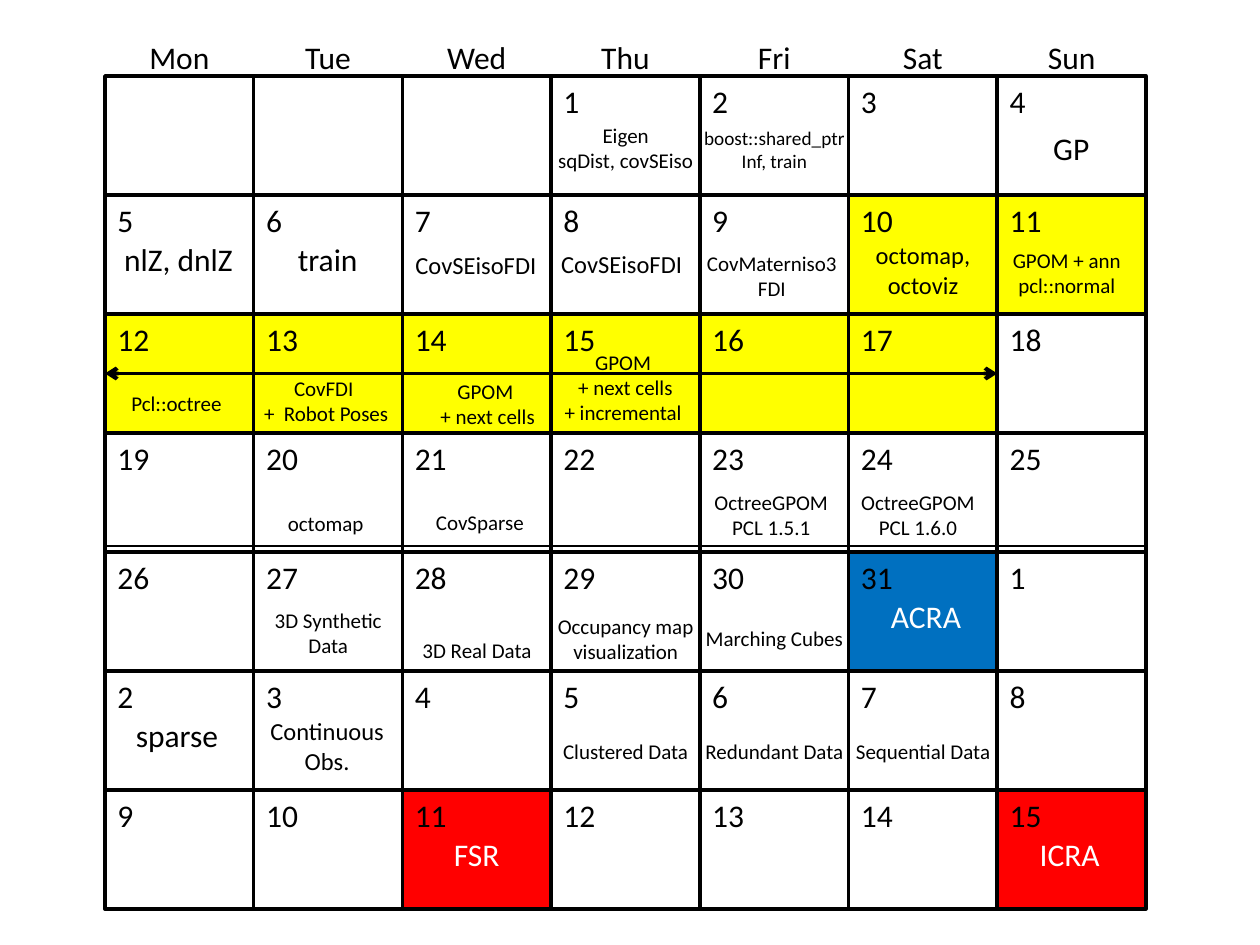
from lxml import etree
from pptx import Presentation
from pptx.dml.color import RGBColor
from pptx.enum.shapes import MSO_CONNECTOR, MSO_SHAPE
from pptx.enum.text import MSO_ANCHOR, MSO_AUTO_SIZE, PP_ALIGN
from pptx.oxml.ns import qn
from pptx.util import Emu, Pt

LEFT, CENTER = PP_ALIGN.LEFT, PP_ALIGN.CENTER
TOP, MIDDLE = MSO_ANCHOR.TOP, MSO_ANCHOR.MIDDLE
RECTANGLE, STRAIGHT = MSO_SHAPE.RECTANGLE, MSO_CONNECTOR.STRAIGHT
FIT_SHAPE = MSO_AUTO_SIZE.SHAPE_TO_FIT_TEXT

EMU_PER_PX = 914400 / 126
FONT = "Calibri"
BLACK, WHITE = "000000", "FFFFFF"
YELLOW, BLUE, RED = "FFFF00", "0070C0", "FF0000"

GRID = (105, 76, 1041, 833)
HEADER_HEIGHT = 39
WEEKS = 7
WEEKDAYS = ["Mon", "Tue", "Wed", "Thu", "Fri", "Sat", "Sun"]
MON, TUE, WED, THU, FRI, SAT, SUN = range(7)
DATES = [""] * THU + [str(d) for d in range(1, 32)] + [str(d) for d in range(1, 16)]

# Filled days, by (week, weekday)
FILLS = {(1, SAT): YELLOW, (1, SUN): YELLOW, (4, SAT): BLUE, (6, WED): RED, (6, SUN): RED}
FILLS.update({(2, weekday): YELLOW for weekday in range(SUN)})

# Notes: week, weekday, box within the day, text size, lines
WIDE_X, WIDE = -10, 169
NOTES = [
    (0, THU, (WIDE_X, 40, WIDE, 63), 12, ["Eigen", "sqDist, covSEiso"]),
    (0, FRI, (WIDE_X, 44, WIDE, 59), 11, ["boost::shared_ptr", "Inf, train"]),
    (0, SUN, (43, 47, 62, 50), 18, ["GP"]),
    (1, MON, (6, 39, 135, 50), 18, ["nlZ, dnlZ"]),
    (1, TUE, (31, 39, 86, 50), 18, ["train"]),
    (1, WED, (0, 49, 147, 43), 14, ["CovSEisoFDI"]),
    (1, THU, (-3, 48, 147, 43), 14, ["CovSEisoFDI"]),
    (1, FRI, (-6, 49, 156, 63), 12, ["CovMaterniso3", "FDI"]),
    (1, SAT, (14, 39, 121, 72), 14, ["octomap,", "octoviz"]),
    (1, SUN, (2, 46, 135, 63), 12, ["GPOM + ann", "pcl::normal"]),
    (2, MON, (13, 70, 117, 38), 12, ["Pcl::octree"]),
    (2, TUE, (-3, 55, 151, 63), 12, ["CovFDI ", "+  Robot Poses"]),
    (2, WED, (20, 58, 126, 63), 12, ["GPOM", " + next cells"]),
    (2, THU, (0, 29, 144, 89), 12, ["GPOM", " + next cells", "+ incremental"]),
    (3, TUE, (21, 71, 102, 38), 12, ["octomap"]),
    (3, WED, (20, 70, 115, 38), 12, ["CovSparse"]),
    (3, FRI, (1, 50, 141, 63), 12, ["OctreeGPOM", "PCL 1.5.1"]),
    (3, SAT, (-1, 50, 141, 63), 12, ["OctreeGPOM", "PCL 1.6.0"]),
    (4, TUE, (WIDE_X, 49, WIDE, 63), 12, ["3D Synthetic Data"]),
    (4, WED, (WIDE_X, 79, WIDE, 38), 12, ["3D Real Data"]),
    (4, THU, (WIDE_X, 55, WIDE, 63), 12, ["Occupancy map", "visualization"]),
    (4, FRI, (WIDE_X, 67, WIDE, 38), 12, ["Marching Cubes"]),
    (5, MON, (18, 39, 108, 50), 18, ["sparse"]),
    (5, TUE, (3, 39, 141, 72), 14, ["Continuous", "Obs."]),
    (5, THU, (WIDE_X, 61, WIDE, 38), 12, ["Clustered Data"]),
    (5, FRI, (WIDE_X, 61, WIDE, 38), 12, ["Redundant Data"]),
    (5, SAT, (WIDE_X, 61, WIDE, 38), 12, ["Sequential Data"]),
]

# Conferences: week, weekday, box within the day, name
CONFERENCES = [
    (4, SAT, (30, 39, 96, 50), "ACRA"),
    (6, WED, (39, 39, 72, 50), "FSR"),
    (6, SUN, (30, 39, 86, 50), "ICRA"),
]


def px(length):
    return Emu(round(length * EMU_PER_PX))


def color(hex_string):
    return RGBColor.from_string(hex_string)


def day_box(grid, week, weekday):
    left, top, width, height = grid
    day_width, day_height = width / len(WEEKDAYS), height / WEEKS
    return left + weekday * day_width, top + week * day_height, day_width, day_height


def write(frame, lines, size, ink=BLACK, align=LEFT, anchor=TOP):
    frame.vertical_anchor = anchor
    for index, line in enumerate(lines):
        para = frame.paragraphs[0] if index == 0 else frame.add_paragraph()
        para.alignment = align
        span = para.add_run()
        span.text = line
        span.font.name = FONT
        span.font.size = Pt(size)
        span.font.color.rgb = color(ink)


def add_header(page, box):
    left, top, width, height = box
    step = width / len(WEEKDAYS)
    for index, name in enumerate(WEEKDAYS):
        label = page.shapes.add_textbox(px(left + index * step), px(top), px(step), px(height))
        label.text_frame.word_wrap = True
        write(label.text_frame, [name], 18, align=CENTER, anchor=MIDDLE)


def add_days(page, grid):
    for index, date in enumerate(DATES):
        week, weekday = divmod(index, len(WEEKDAYS))
        day = page.shapes.add_shape(RECTANGLE, *map(px, day_box(grid, week, weekday)))
        day.shadow.inherit = False
        day.line.color.rgb = color(BLACK)
        day.line.width = Pt(2)
        if (week, weekday) in FILLS:
            day.fill.solid()
            day.fill.fore_color.rgb = color(FILLS[week, weekday])
        else:
            day.fill.background()
        if date:
            write(day.text_frame, [date], 18)


def add_note(page, day, box, size, lines, ink=BLACK, align=CENTER):
    x, y, width, height = box
    note = page.shapes.add_textbox(px(day[0] + x), px(day[1] + y), px(width), px(height))
    note.text_frame.word_wrap = width == WIDE
    note.text_frame.auto_size = FIT_SHAPE
    write(note.text_frame, lines, size, ink, align)


def add_rule(page, left, right, y, weight, arrows=False):
    rule = page.shapes.add_connector(STRAIGHT, px(left), px(y), px(right), px(y))
    rule.line.color.rgb = color(BLACK)
    rule.line.width = Pt(weight)
    if arrows:
        outline = rule.line._get_or_add_ln()
        for end in ("a:headEnd", "a:tailEnd"):
            etree.SubElement(outline, qn(end), type="arrow")
    etree.SubElement(rule._element.spPr, qn("a:effectLst"))


def add_calendar(page, grid):
    left, top, width, height = grid
    add_days(page, grid)
    add_header(page, (left, top - HEADER_HEIGHT, width, HEADER_HEIGHT))

    # Six-day span and end-of-month divider
    sunday, span_top, _, day_height = day_box(grid, 2, SUN)
    add_rule(page, left, sunday, span_top + day_height / 2, 2.25, arrows=True)
    add_rule(page, left, left + width, day_box(grid, 4, MON)[1] - 6, 1.5)

    # Notes and conferences
    for week, weekday, box, size, lines in NOTES:
        add_note(page, day_box(grid, week, weekday), box, size, lines)
    for week, weekday, box, name in CONFERENCES:
        add_note(page, day_box(grid, week, weekday), box, 18, [name], WHITE, LEFT)


def main():
    deck = Presentation()
    deck.slide_width, deck.slide_height = px(1260), px(945)
    page = deck.slides.add_slide(deck.slide_layouts[6])
    add_calendar(page, GRID)
    deck.save("out.pptx")


if __name__ == "__main__":
    main()
